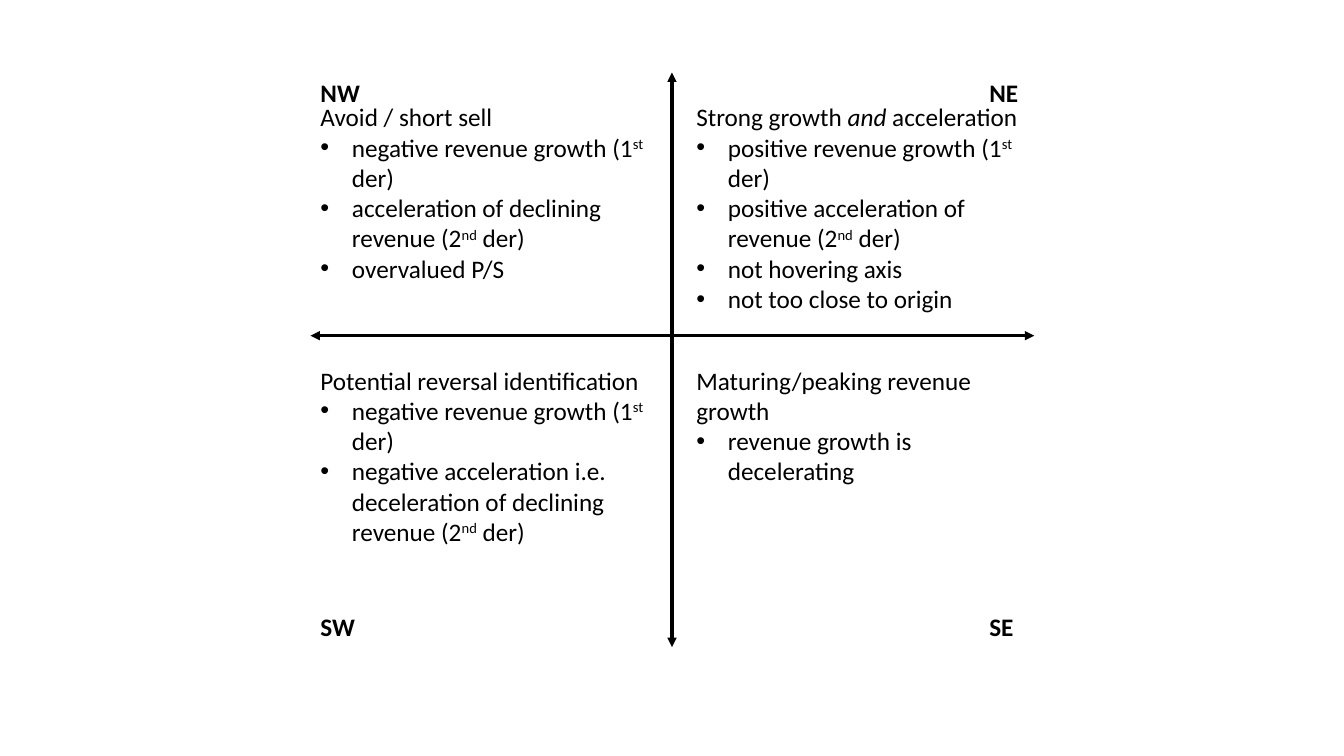
from dataclasses import dataclass
from lxml import etree
from pptx import Presentation
from pptx.dml.color import RGBColor
from pptx.enum.shapes import MSO_CONNECTOR
from pptx.enum.text import MSO_AUTO_SIZE
from pptx.oxml.ns import qn
from pptx.util import Pt

STRAIGHT = MSO_CONNECTOR.STRAIGHT
FIT_SHAPE = MSO_AUTO_SIZE.SHAPE_TO_FIT_TEXT


@dataclass(frozen=True)
class Theme:
    ink: RGBColor = RGBColor(0, 0, 0)
    font: str = "Calibri"
    size: float = 18
    axis_width: float = 2.25
    indent: float = 22.5


THEME = Theme()
BASE = {"name": THEME.font, "size": Pt(THEME.size)}
BOLD = {"bold": True}
ITALIC = {"italic": True}
SUPER = {"baseline": "30000"}

# Chart box and the gaps inside it, in points
CHART = (221.8, 51.8, 517, 410.4)
CENTER = (480, 239.8)
BODY_WIDTH, BODY_DROP, EAST_GAP = 258.5, 17.3, 10.3
LABEL_HEIGHT, WEST_LABEL, EAST_LABEL = 28.8, 51.1, 39.2

FIRST_DER = [("st", SUPER), " der)"]
SECOND_DER = [("nd", SUPER), " der)"]
NEGATIVE = ["negative revenue growth (1", *FIRST_DER]

# Label, body height, heading, bullets; each text is a list of runs
QUADRANTS = {
    (0, 0): ("NW", 159.8, ["Avoid / short sell"], [
        NEGATIVE,
        ["acceleration of declining revenue (2", *SECOND_DER],
        ["overvalued P/S"]]),
    (1, 0): ("NE", 181.4, ["Strong growth ", ("and", ITALIC), " acceleration"], [
        ["positive revenue growth (1", *FIRST_DER],
        ["positive acceleration of revenue (2", *SECOND_DER],
        ["not hovering axis"],
        ["not too close to origin"]]),
    (0, 1): ("SW", 138.2, ["Potential reversal identification"], [
        NEGATIVE,
        ["negative acceleration i.e. deceleration of declining revenue (2",
         *SECOND_DER]]),
    (1, 1): ("SE", 116.6, ["Maturing/peaking revenue growth"], [
        ["revenue growth is decelerating"]]),
}


def add_runs(p, runs):
    for run in runs:
        text, extra = (run, {}) if isinstance(run, str) else run
        r = p.add_run()
        r.text = text
        r.font.color.rgb = THEME.ink
        for key, value in {**BASE, **extra}.items():
            if key == "baseline":
                r.font._element.set(key, value)
            else:
                setattr(r.font, key, value)


def add_bullet(p):
    pPr = p._p.get_or_add_pPr()
    pPr.set("marL", str(Pt(THEME.indent)))
    pPr.set("indent", str(-Pt(THEME.indent)))
    etree.SubElement(pPr, qn("a:buFont")).set("typeface", "Arial")
    etree.SubElement(pPr, qn("a:buChar")).set("char", "•")


def add_text(s, box, heading, bullets=()):
    tf = s.shapes.add_textbox(*map(Pt, box)).text_frame
    tf.word_wrap = True
    tf.auto_size = FIT_SHAPE
    add_runs(tf.paragraphs[0], heading)
    for runs in bullets:
        p = tf.add_paragraph()
        add_bullet(p)
        add_runs(p, runs)


def add_axis(s, x1, y1, x2, y2):
    axis = s.shapes.add_connector(STRAIGHT, *map(Pt, (x1, y1, x2, y2)))
    axis.line.color.rgb = THEME.ink
    axis.line.width = Pt(THEME.axis_width)
    ln = axis.line._get_or_add_ln()
    for end in ("a:headEnd", "a:tailEnd"):
        etree.SubElement(ln, qn(end)).set("type", "triangle")
    etree.SubElement(axis._element.spPr, qn("a:effectLst"))


def add_axes(s, box):
    x, y, w, h = box
    cx, cy = CENTER
    add_axis(s, cx, y, cx, y + h)
    add_axis(s, x + w, cy, x, cy)


def add_quadrant(s, box, col, row, label, height, heading, bullets):
    x, y, w, h = box
    # Corner label
    label_w = EAST_LABEL if col else WEST_LABEL
    label_x = x + col * (w - label_w)
    label_y = y + row * (h - LABEL_HEIGHT)
    add_text(s, (label_x, label_y, label_w, LABEL_HEIGHT), [(label, BOLD)])
    # Description
    body_x = CENTER[0] + EAST_GAP if col else x
    body_y = (CENTER[1] if row else y) + BODY_DROP
    add_text(s, (body_x, body_y, BODY_WIDTH, height), heading, bullets)


def main():
    prs = Presentation()
    prs.slide_width, prs.slide_height = Pt(960), Pt(540)
    s = prs.slides.add_slide(prs.slide_layouts[6])
    add_axes(s, CHART)
    for (col, row), content in QUADRANTS.items():
        add_quadrant(s, CHART, col, row, *content)
    prs.save("out.pptx")


if __name__ == "__main__":
    main()
